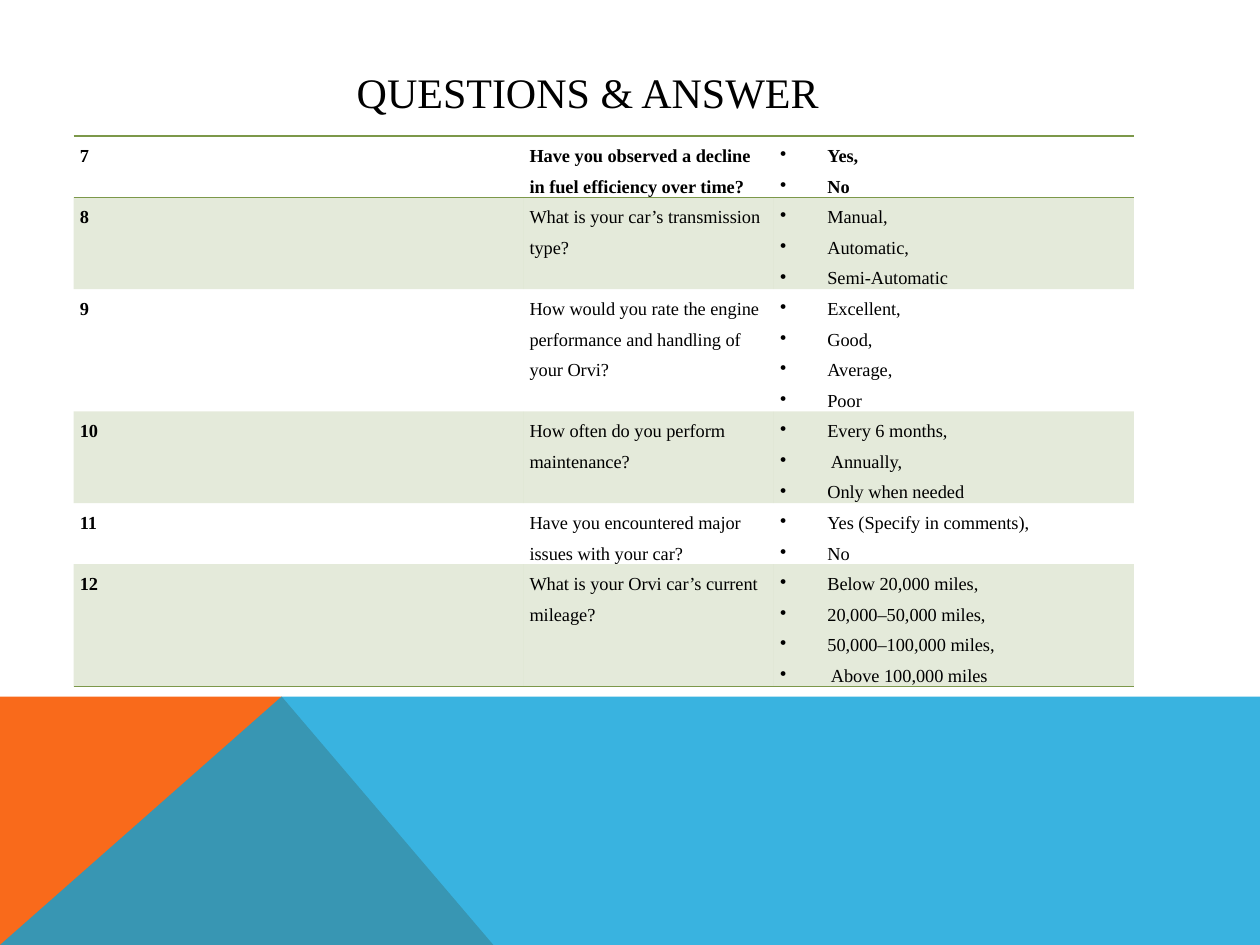
import pptx
import pptx.util
import pptx.dml.color
import pptx.enum.text
import pptx.oxml
import pptx.oxml.ns
import lxml.etree

Pt = pptx.util.Pt
RGBColor = pptx.dml.color.RGBColor
qn = pptx.oxml.ns.qn

BLACK = RGBColor(0x00, 0x00, 0x00)
ORANGE = RGBColor(0xF9, 0x6A, 0x1B)
BLUE = RGBColor(0x08, 0xA1, 0xD9)
GREEN = RGBColor(0x7C, 0x98, 0x4A)
FONT = "Times New Roman"
BODY = {"name": FONT, "size": Pt(10.5)}


def set_alpha(element, percent):
    """Make the solid colour inside an element partly transparent."""
    color = next(element.iter(qn("a:srgbClr")))
    lxml.etree.SubElement(color, qn("a:alpha")).set("val", str(percent * 1000))


def set_font(r, formats):
    for name, value in formats.items():
        setattr(r.font, name, value)
    r.font.color.rgb = BLACK


prs = pptx.Presentation()
prs.slide_width, prs.slide_height = Pt(720), Pt(540)
slide = prs.slides.add_slide(prs.slide_layouts[5])

# Title
s = slide.shapes.title
s.left, s.top, s.width, s.height = Pt(64.8), Pt(28.8), Pt(591.8), Pt(43.2)
tf = s.text_frame
for name, value in {
    "margin_left": Pt(139), "margin_top": Pt(7), "margin_bottom": Pt(3),
    "vertical_anchor": pptx.enum.text.MSO_ANCHOR.MIDDLE,
}.items():
    setattr(tf, name, value)
p = tf.paragraphs[0]
p.alignment = pptx.enum.text.PP_ALIGN.LEFT
r = p.add_run()
r.text = "QUESTIONS & ANSWER"
set_font(r, {"name": FONT, "size": Pt(24)})

# Bottom bands
bands = [
    (ORANGE, 100, [(0, 540), (0, 397.5), (160.6, 397.5), (281.5, 540)]),
    (BLUE, 80, [(0, 540), (160.6, 397.5), (720, 397.8), (720, 540)]),
]
for color, alpha, points in bands:
    builder = slide.shapes.build_freeform(*points[0], scale=Pt(1))
    builder.add_line_segments(points[1:], close=True)
    s = builder.convert_to_shape()
    s.shadow.inherit = False
    s.fill.solid()
    s.fill.fore_color.rgb = color
    s.line.fill.background()
    if alpha < 100:
        set_alpha(s.element.spPr, alpha)

# Question table
questions = [
    ("Have you observed a decline in fuel efficiency over time?", ["Yes,", "No"]),
    ("What is your car’s transmission type?",
     ["Manual,", "Automatic,", "Semi-Automatic"]),
    ("How would you rate the engine performance and handling of your Orvi?",
     ["Excellent,", "Good,", "Average,", "Poor"]),
    ("How often do you perform maintenance?",
     ["Every 6 months,", " Annually,", "Only when needed"]),
    ("Have you encountered major issues with your car?",
     ["Yes (Specify in comments),", "No"]),
    ("What is your Orvi car’s current mileage?",
     ["Below 20,000 miles,", "20,000–50,000 miles,", "50,000–100,000 miles,",
      " Above 100,000 miles"]),
]
LINE_HEIGHT = 17.1
last = len(questions) - 1
s = slide.shapes.add_table(len(questions), 3, Pt(42), Pt(77.8), Pt(606), Pt(307))
next(s.element.iter(qn("a:tableStyleId"))).text = "{2D5ABB26-0587-4C30-8999-92F81FD0307C}"
table = s.table
table.horz_banding = False
for column, width in zip(table.columns, (257, 143.2, 205.8)):
    column.width = Pt(width)

for i, (question, answers) in enumerate(questions):
    table.rows[i].height = Pt(LINE_HEIGHT * len(answers))
    for j, lines in enumerate(([str(i + 7)], [question], answers)):
        cell = table.cell(i, j)
        cell.margin_left = cell.margin_right = Pt(3.6)
        cell.margin_top = cell.margin_bottom = 0
        tcPr = cell._tc.get_or_add_tcPr()

        # Shaded alternate rows
        if i % 2:
            cell.fill.solid()
            cell.fill.fore_color.rgb = GREEN
            set_alpha(tcPr, 20)
        else:
            cell.fill.background()

        # Rules around the first row and below the last
        edges = {0: ("lnB", "lnT"), last: ("lnB",)}.get(i, ())
        for edge in edges:
            tcPr.insert(0, pptx.oxml.parse_xml(
                f'<a:{edge} {pptx.oxml.ns.nsdecls("a")} w="{Pt(1)}"><a:solidFill>'
                f'<a:srgbClr val="{GREEN}"/></a:solidFill></a:{edge}>'))

        # Cell text, with bullets on the answers
        for k, line in enumerate(lines):
            tf = cell.text_frame
            p = tf.add_paragraph() if k else tf.paragraphs[0]
            p.line_spacing = 1.5
            r = p.add_run()
            r.text = line
            set_font(r, {**BODY, "bold": i == 0 or j == 0})
            if j == 2:
                pPr = p._p.get_or_add_pPr()
                pPr.set("marL", str(Pt(27)))
                pPr.set("indent", str(-Pt(27)))
                lxml.etree.SubElement(pPr, qn("a:buChar")).set("char", "•")

prs.save("out.pptx")
